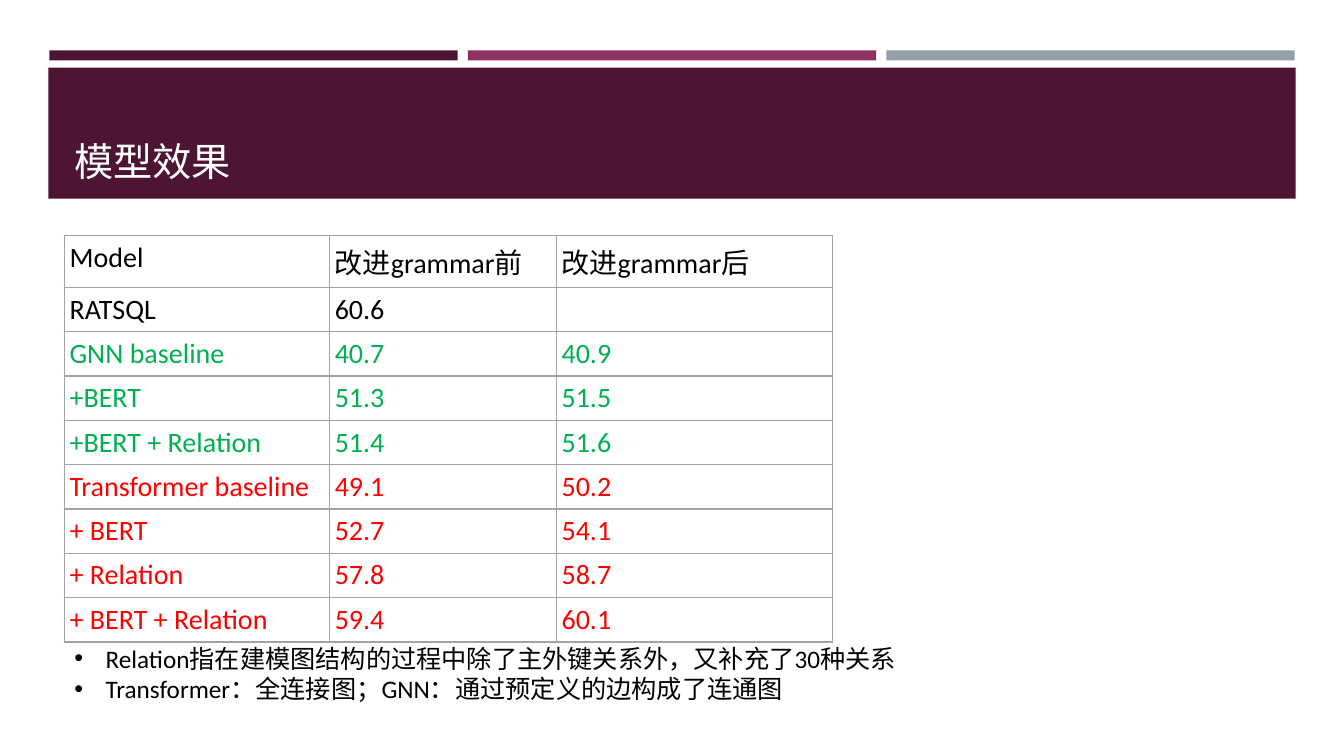
"""Build the slide comparing model results before and after the grammar change."""
from lxml.etree import SubElement
from pptx import Presentation
from pptx.dml.color import RGBColor
from pptx.enum.shapes import MSO_SHAPE
from pptx.enum.text import MSO_ANCHOR
from pptx.oxml import parse_xml
from pptx.oxml.ns import nsdecls, qn
from pptx.util import Inches, Pt

COLORS = {
    "plum": "4D1434", "magenta": "903163", "gray": "969FA7", "border": "A3A3A3",
    "white": "FFFFFF", "black": "000000", "green": "00B050", "red": "FF0000",
}


def add_bar(left, top, width, height, color):
    shape = slide.shapes.add_shape(
        MSO_SHAPE.RECTANGLE, Inches(left), Inches(top), Inches(width), Inches(height))
    shape.shadow.inherit = False
    shape.fill.solid()
    shape.fill.fore_color.rgb = RGBColor.from_string(COLORS[color])
    shape.line.fill.background()


def style_text(paragraph, size, color):
    for run in paragraph.runs:
        run.font.name = "Calibri"
        run.font.size = Pt(size)
        run.font.color.rgb = RGBColor.from_string(COLORS[color])


presentation = Presentation()
presentation.slide_width = Inches(13.33)
presentation.slide_height = Inches(7.5)
slide = presentation.slides.add_slide(presentation.slide_layouts[6])

for index, color in enumerate(["plum", "magenta", "gray"]):
    add_bar(0.49 + index * 4.15, 0.5, 4.05, 0.1, color)
add_bar(0.48, 0.67, 12.37, 1.3, "plum")

title = slide.shapes.add_textbox(Inches(0.64), Inches(0.77), Inches(12.06), Inches(1.11))
title.text_frame.word_wrap = True
title.text_frame.vertical_anchor = MSO_ANCHOR.BOTTOM
title.text_frame.text = "模型效果"
style_text(title.text_frame.paragraphs[0], 28, "white")

results = [
    ("black", "Model", "改进grammar前", "改进grammar后"),
    ("black", "RATSQL", "60.6", ""),
    ("green", "GNN baseline", "40.7", "40.9"),
    ("green", "+BERT", "51.3", "51.5"),
    ("green", "+BERT + Relation", "51.4", "51.6"),
    ("red", "Transformer baseline", "49.1", "50.2"),
    ("red", "+ BERT", "52.7", "54.1"),
    ("red", "+ Relation", "57.8", "58.7"),
    ("red", "+ BERT + Relation", "59.4", "60.1"),
]
column_widths = [2.63, 2.25, 2.74]
table = slide.shapes.add_table(
    len(results), len(column_widths), Inches(0.64), Inches(2.34),
    Inches(sum(column_widths)), Inches(4.03)).table
table.first_row = False
table.horz_banding = False
for column, width in zip(table.columns, column_widths):
    column.width = Inches(width)

for row_index, (color, *texts) in enumerate(results):
    table.rows[row_index].height = Inches(0.44 if row_index else 0.51)
    for column_index, text in enumerate(texts):
        cell = table.cell(row_index, column_index)
        cell.margin_left = cell.margin_right = Inches(0.05)
        cell.margin_top = cell.margin_bottom = Inches(0.05)
        cell.fill.background()
        if text:
            cell.text_frame.text = text
            style_text(cell.text_frame.paragraphs[0], 20, color)
        properties = cell._tc.get_or_add_tcPr()
        for position, side in enumerate(["lnL", "lnR", "lnT", "lnB"]):
            properties.insert(position, parse_xml(
                f'<a:{side} {nsdecls("a")} w="{Pt(1)}"><a:solidFill>'
                f'<a:srgbClr val="{COLORS["border"]}"/></a:solidFill></a:{side}>'))

notes = [
    "Relation指在建模图结构的过程中除了主外键关系外，又补充了30种关系",
    "Transformer：全连接图；GNN：通过预定义的边构成了连通图",
]
remarks = slide.shapes.add_textbox(Inches(0.64), Inches(6.33), Inches(8.43), Inches(0.71))
remarks.text_frame.word_wrap = True
remarks.text_frame.text = "\n".join(notes)
for paragraph in remarks.text_frame.paragraphs:
    properties = paragraph._p.get_or_add_pPr()
    properties.set("marL", str(Inches(0.31)))
    properties.set("indent", str(-Inches(0.31)))
    SubElement(properties, qn("a:buFont"), typeface="Arial")
    SubElement(properties, qn("a:buChar"), char="•")
    style_text(paragraph, 18, "black")

presentation.save("out.pptx")
